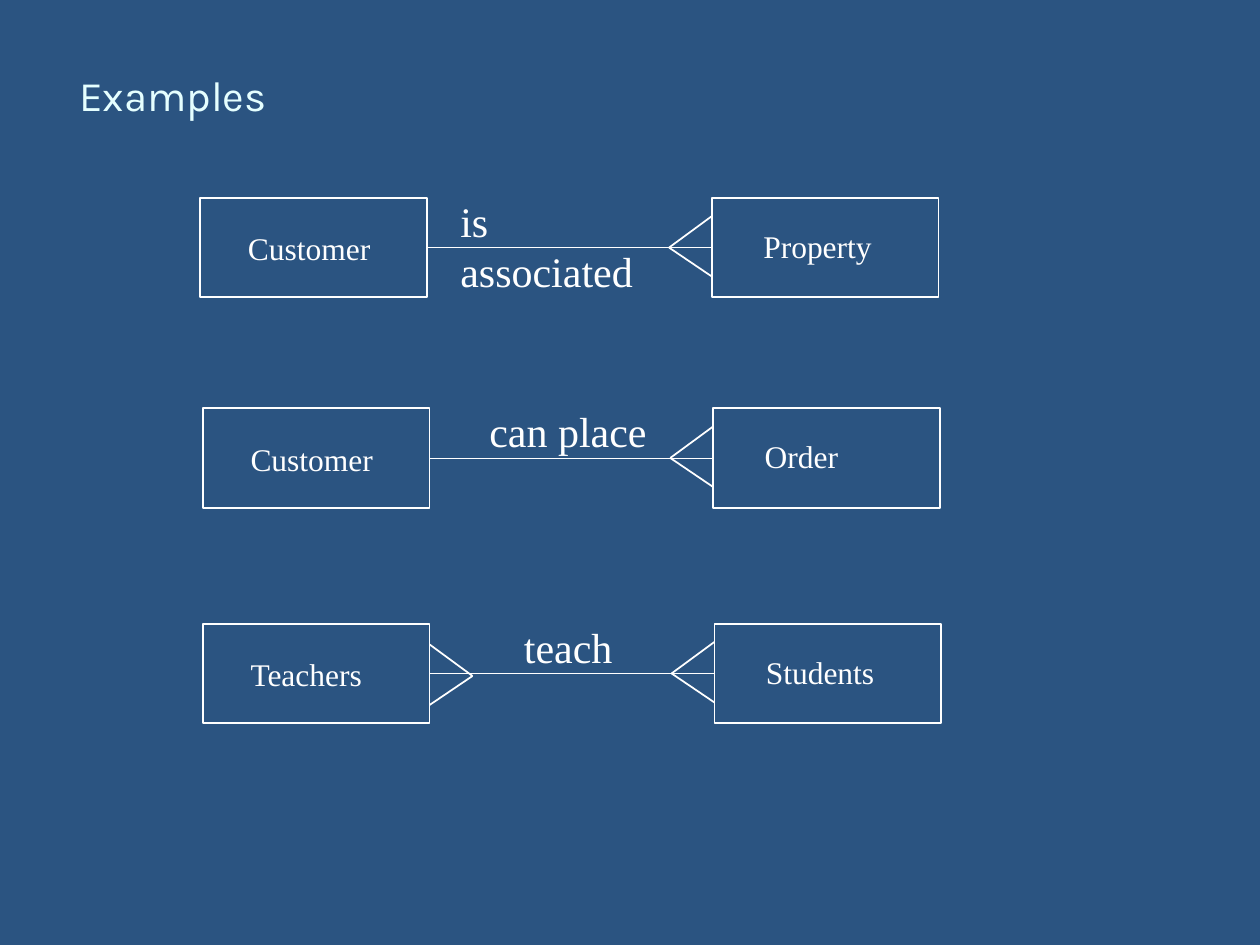
from dataclasses import dataclass

import pptx
import pptx.dml.color
import pptx.enum.shapes
import pptx.enum.text
import pptx.oxml.ns
import pptx.shapes.autoshape
import pptx.slide
import pptx.util
from lxml import etree

Inches = pptx.util.Inches


@dataclass(frozen=True)
class Theme:
    background: str = "2B5481"
    ink: str = "FFFFFF"
    title_ink: str = "E5FFFF"
    body_font: str = "Times New Roman"
    title_font: str = "Karla"
    entity_size: float = 18
    heading_size: float = 24
    outline: float = 1
    hairline: float = 0.25


@dataclass(frozen=True)
class Entity:
    name: str
    left: float
    name_width: float
    many: bool


@dataclass(frozen=True)
class Relationship:
    top: float
    source: Entity
    verb: str
    verb_width: float
    target: Entity
    line_width: float


THEME = Theme()
ENTITY_WIDTH, ENTITY_HEIGHT = 1.8, 0.79
FOOT_LENGTH, FOOT_RISE, FOOT_DROP = 0.34, 0.25, 0.23
VERB_CENTRE = 2.9  # from the left edge of the source entity

RELATIONSHIPS = [
    Relationship(1.57, Entity("Customer", 1.59, 1.17, False), "is associated", 1.87,
                 Entity("Property", 5.65, 1.06, True), THEME.hairline),
    Relationship(3.24, Entity("Customer", 1.61, 1.17, False), "can place", 1.45,
                 Entity("Order", 5.66, 0.78, True), THEME.hairline),
    Relationship(4.95, Entity("Teachers", 1.61, 1.1, True), "teach", 0.9,
                 Entity("Students", 5.67, 1.06, True), THEME.outline),
]


def rgb(colour: str) -> pptx.dml.color.RGBColor:
    return pptx.dml.color.RGBColor.from_string(colour)


def add_label(slide: pptx.slide.Slide, text: str, left: float, top: float,
              width: float, size: float, font: str = THEME.body_font,
              colour: str = THEME.ink) -> None:
    height = 0.4 if size == THEME.entity_size else 0.5
    label = slide.shapes.add_textbox(Inches(left), Inches(top), Inches(width), Inches(height))
    frame = label.text_frame
    frame.word_wrap = False
    frame.auto_size = pptx.enum.text.MSO_AUTO_SIZE.SHAPE_TO_FIT_TEXT
    run = frame.paragraphs[0].add_run()
    run.text = text
    run.font.name = font
    run.font.size = pptx.util.Pt(size)
    run.font.color.rgb = rgb(colour)


def add_line(slide: pptx.slide.Slide, start: tuple[float, float], end: tuple[float, float],
             width: float = THEME.outline) -> pptx.shapes.connector.Connector:
    line = slide.shapes.add_connector(
        pptx.enum.shapes.MSO_CONNECTOR.STRAIGHT,
        *(Inches(value) for value in (*start, *end)))
    line.line.color.rgb = rgb(THEME.ink)
    line.line.width = pptx.util.Pt(width)
    etree.SubElement(line.element.spPr, pptx.oxml.ns.qn("a:effectLst"))
    return line


def add_entity_box(slide: pptx.slide.Slide, left: float,
                   top: float) -> pptx.shapes.autoshape.Shape:
    box = slide.shapes.add_shape(
        pptx.enum.shapes.MSO_SHAPE.RECTANGLE, Inches(left), Inches(top),
        Inches(ENTITY_WIDTH), Inches(ENTITY_HEIGHT))
    box.shadow.inherit = False
    box.fill.solid()
    box.fill.fore_color.rgb = rgb(THEME.background)
    box.line.color.rgb = rgb(THEME.ink)
    box.line.width = pptx.util.Pt(THEME.outline)
    return box


def add_crows_foot(slide: pptx.slide.Slide, edge: float, tip_y: float, direction: int) -> None:
    """Draw the "many" mark on a box edge; direction is -1 to point left, 1 right."""
    tip = (edge + direction * FOOT_LENGTH, tip_y)
    add_line(slide, (edge, tip_y - FOOT_RISE), tip)
    add_line(slide, tip, (edge, tip_y + FOOT_DROP))


def add_relationship(slide: pptx.slide.Slide, relationship: Relationship) -> None:
    source, target, top = relationship.source, relationship.target, relationship.top
    source_edge = source.left + ENTITY_WIDTH
    middle = top + ENTITY_HEIGHT / 2

    source_box = add_entity_box(slide, source.left, top)
    target_box = add_entity_box(slide, target.left, top)
    link = add_line(slide, (source_edge, middle), (target.left, middle),
                    relationship.line_width)
    link.begin_connect(source_box, 3)
    link.end_connect(target_box, 1)

    if source.many:
        add_crows_foot(slide, source_edge, middle + 0.02, 1)
    if target.many:
        add_crows_foot(slide, target.left, middle, -1)

    add_label(slide, source.name, source.left + 0.28, top + 0.2,
              source.name_width, THEME.entity_size)
    add_label(slide, target.name, target.left + 0.31, top + 0.18,
              target.name_width, THEME.entity_size)
    add_label(slide, relationship.verb,
              source.left + VERB_CENTRE - relationship.verb_width / 2, top - 0.07,
              relationship.verb_width, THEME.heading_size)


def main() -> None:
    presentation = pptx.Presentation()
    presentation.slide_width = Inches(10)
    presentation.slide_height = Inches(7.5)
    slide = presentation.slides.add_slide(presentation.slide_layouts[6])
    slide.background.fill.solid()
    slide.background.fill.fore_color.rgb = rgb(THEME.background)

    for relationship in RELATIONSHIPS:
        add_relationship(slide, relationship)
    add_label(slide, "Examples", 0.53, 0.5, 1.7, THEME.heading_size,
              THEME.title_font, THEME.title_ink)
    presentation.save("out.pptx")


if __name__ == "__main__":
    main()
